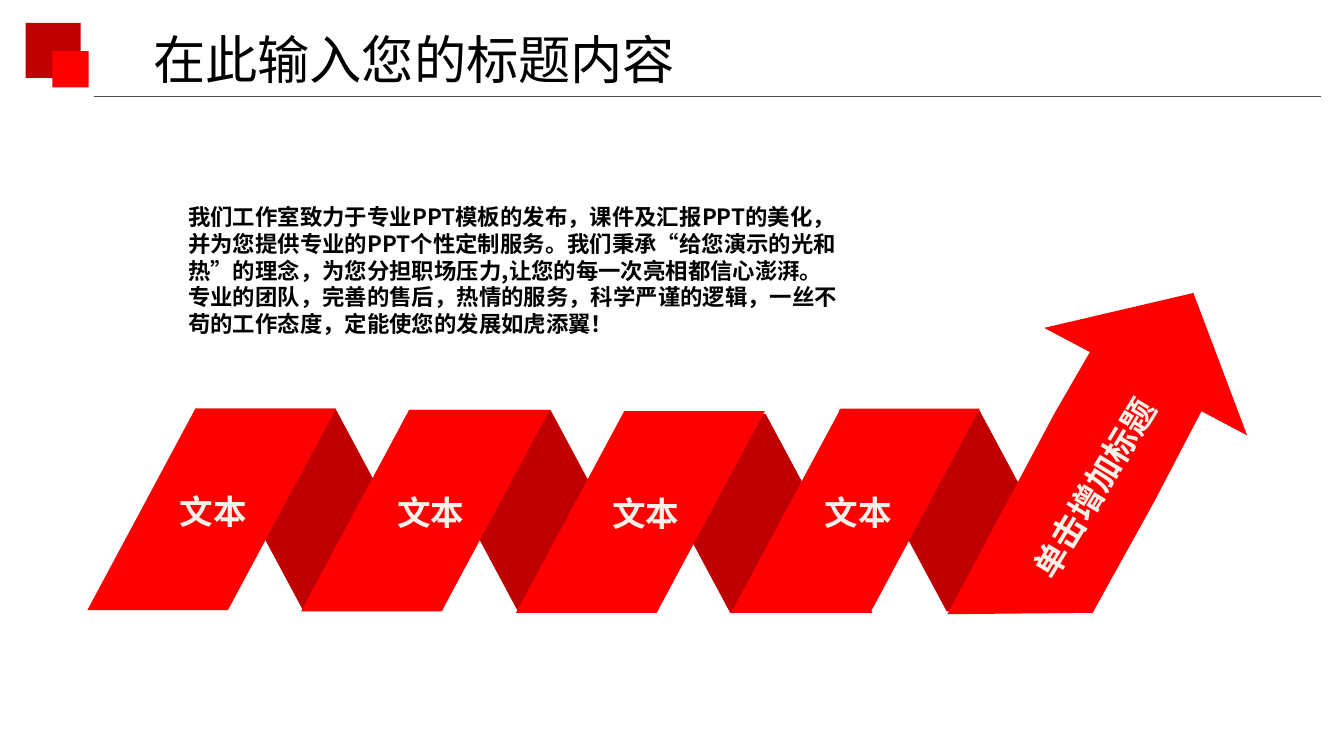
from pptx import Presentation
from pptx.dml.color import RGBColor
from pptx.enum.shapes import MSO_CONNECTOR, MSO_SHAPE
from pptx.enum.text import MSO_ANCHOR, PP_ALIGN
from pptx.oxml.ns import qn
from pptx.util import Inches, Pt
from lxml import etree

RECTANGLE = MSO_SHAPE.RECTANGLE
PARALLELOGRAM = MSO_SHAPE.PARALLELOGRAM
STRAIGHT = MSO_CONNECTOR.STRAIGHT
MIDDLE, TOP = MSO_ANCHOR.MIDDLE, MSO_ANCHOR.TOP
LEFT, CENTER = PP_ALIGN.LEFT, PP_ALIGN.CENTER

RED = RGBColor(0xFF, 0x00, 0x00)
DARK_RED = RGBColor(0xC0, 0x00, 0x00)
GRAY = RGBColor(0x4D, 0x49, 0x48)
CREAM = RGBColor(0xF7, 0xF3, 0xEB)
BLACK = RGBColor(0x00, 0x00, 0x00)
FONT = "Noto Sans CJK SC"
SLANT = 0.536

prs = Presentation()
prs.slide_width = Inches(10)
prs.slide_height = Inches(10 * 9 / 16)
slide = prs.slides.add_slide(prs.slide_layouts[5])
shapes = slide.shapes


def add_block(preset, left, top, width, height, color):
    block = shapes.add_shape(preset, Inches(left), Inches(top), Inches(width), Inches(height))
    block.shadow.inherit = False
    block.fill.solid()
    block.fill.fore_color.rgb = color
    block.line.fill.background()
    return block


def write(holder, text, size, color, bold, align, **frame_format):
    frame = holder.text_frame
    frame.text = text
    for attribute, value in frame_format.items():
        setattr(frame, attribute, value)
    paragraph = frame.paragraphs[0]
    paragraph.alignment = align
    run = paragraph.runs[0]
    for attribute, value in {"name": FONT, "size": Pt(size), "bold": bold}.items():
        setattr(run.font, attribute, value)
    run.font.color.rgb = color
    east_asian = etree.SubElement(run.font._element, qn("a:ea"))
    east_asian.set("typeface", FONT)
    return paragraph


add_block(RECTANGLE, 0.19, 0.17, 0.41, 0.41, DARK_RED)
add_block(RECTANGLE, 0.39, 0.38, 0.27, 0.27, RED)

title_rule = shapes.add_connector(STRAIGHT, Inches(9.83), Inches(0.72), Inches(0.7), Inches(0.72))
title_rule.line.color.rgb = GRAY
title_rule.line.width = Pt(0.75)
etree.SubElement(title_rule._element.spPr, qn("a:effectLst"))

title = shapes.title
title.left, title.top, title.width, title.height = map(Inches, (1.04, 0.15, 4.24, 0.57))
write(title, "在此输入您的标题内容", 28, BLACK, False, LEFT, vertical_anchor=MIDDLE, word_wrap=True)

for left, top, height in [(1.45, 3.04, 1.5), (3.05, 3.05, 1.5), (4.64, 3.08, 1.48), (6.24, 3.05, 1.5)]:
    fold = add_block(PARALLELOGRAM, left, top, 1.85, height, DARK_RED)
    fold.adjustments[0] = SLANT
    fold._element.spPr.find(qn("a:xfrm")).set("flipH", "1")

panels = [
    (0.65, 3.04, 1.5, 1.23, 3.6),
    (2.24, 3.05, 1.5, 2.85, 3.61),
    (3.84, 3.06, 1.5, 4.45, 3.62),
    (5.44, 3.04, 1.52, 6.03, 3.61),
]
for left, top, height, label_left, label_top in panels:
    panel = add_block(PARALLELOGRAM, left, top, 1.85, height, RED)
    panel.adjustments[0] = SLANT
    label = add_block(RECTANGLE, label_left, label_top, 0.71, 0.4, RED)
    write(label, "文本", 18, CREAM, True, CENTER, vertical_anchor=MIDDLE, word_wrap=False)

arrow_points = [
    (8.88, 2.18), (9.28, 3.24), (8.94, 3.06), (8.59, 3.73), (8.13, 4.56),
    (7.05, 4.57), (7.85, 3.07), (8.11, 2.62), (7.77, 2.44),
]
corners = [(Inches(x), Inches(y)) for x, y in arrow_points]
outline = shapes.build_freeform(*corners[0])
outline.add_line_segments(corners[1:], close=True)
arrow = outline.convert_to_shape()
arrow.shadow.inherit = False
arrow.fill.solid()
arrow.fill.fore_color.rgb = RED
arrow.line.fill.background()

arrow_label = add_block(RECTANGLE, 7.28, 3.43, 1.72, 0.4, RED)
arrow_label.rotation = 301.1
write(arrow_label, "单击增加标题", 18, CREAM, True, CENTER, vertical_anchor=MIDDLE, word_wrap=False)

introduction = shapes.add_textbox(Inches(1.33), Inches(1.47), Inches(4.98), Inches(1.31))
introduction_paragraph = write(
    introduction,
    "我们工作室致力于专业PPT模板的发布，课件及汇报PPT的美化，并为您提供专业的PPT个性定制服务。"
    "我们秉承“给您演示的光和热”的理念，为您分担职场压力,让您的每一次亮相都信心澎湃。"
    "专业的团队，完善的售后，热情的服务，科学严谨的逻辑，一丝不苟的工作态度，定能使您的发展如虎添翼！",
    12, BLACK, True, LEFT, vertical_anchor=TOP, word_wrap=True,
    margin_left=Inches(0.07), margin_right=Inches(0.07),
    margin_top=Inches(0.04), margin_bottom=Inches(0.04),
)
introduction_paragraph._p.get_or_add_pPr().set("hangingPunct", "0")

prs.save("out.pptx")
